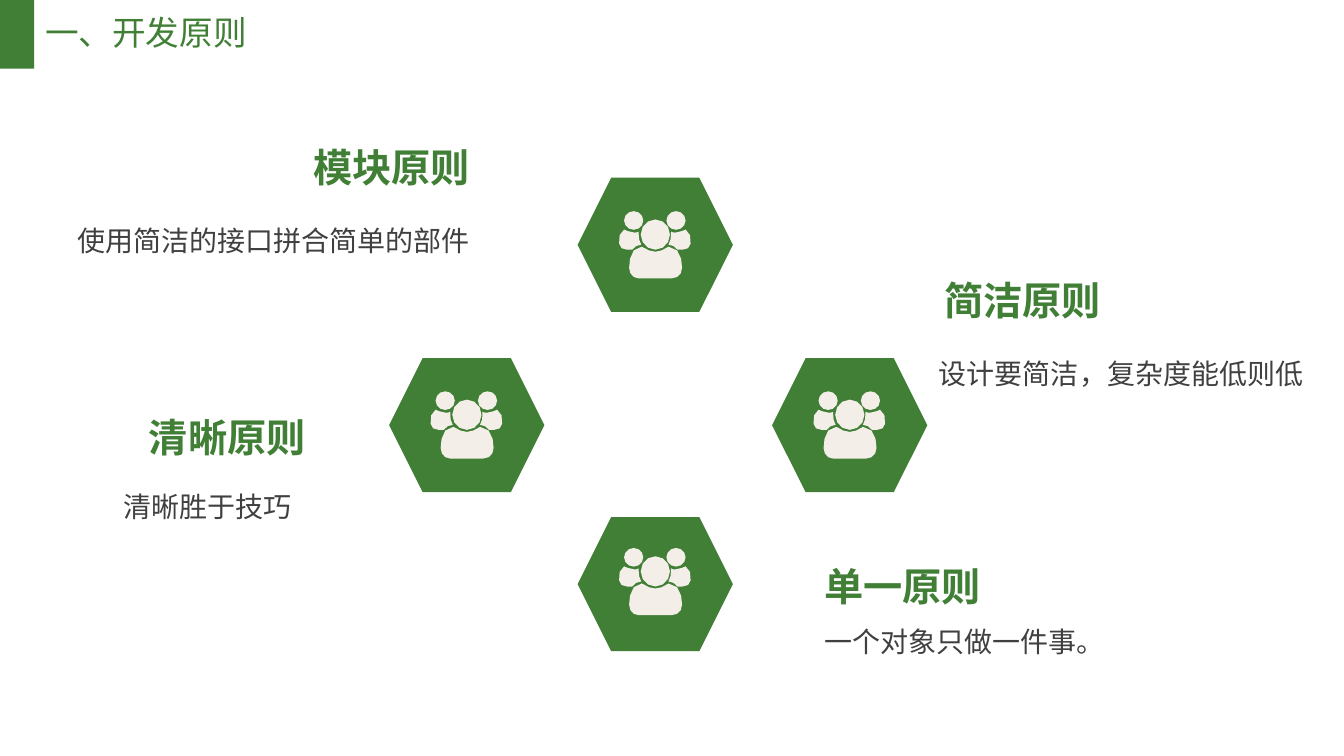
import math
from dataclasses import dataclass

from lxml import etree
from pptx import Presentation, util as u
from pptx.dml.color import RGBColor
from pptx.enum import shapes, text
from pptx.oxml.ns import qn

Pt = u.Pt


@dataclass(frozen=True)
class Theme:
    """Colours, font and type sizes of the slide."""
    green: str = "407F35"
    cream: str = "F3EFE8"
    grey: str = "404040"
    font: str = "Noto Sans CJK SC"
    title: int = 24
    head: int = 28
    body: int = 20


# People icon in hundredths of an inch: a start point, then Bezier triples.
UNIT = 0.72
WIDTH = 71
SIDE = [(13, 38), (8, 38), (8, 38), (8, 38), (4, 38), (0, 36), (0, 32),
        (0, 28), (0, 18), (5, 18), (6, 18), (10, 21), (15, 21),
        (17, 21), (18, 21), (19.5, 20), (19.5, 21), (19.5, 22), (19.5, 23),
        (19.5, 26), (20, 30), (22, 33), (18.5, 33), (15, 35), (13, 38)]
FRONT = [(52, 66.5), (19.5, 66.5), (19.5, 66.5), (19.5, 66.5),
         (14, 66.5), (10, 62), (10, 56), (10, 48), (12, 35), (22.5, 35),
         (24.5, 35), (28.5, 40), (36, 40), (43, 40), (48, 35), (49, 35),
         (60.5, 35), (62.5, 48), (62.5, 56), (62.5, 62), (58.5, 66.5), (52, 66.5)]


def curve(nodes, steps):
    """Sample a chain of cubic Bezier curves; straight parts get one step."""
    dots = [nodes[0]]
    for i in range(0, len(nodes) - 1, 3):
        a, b, c, d = nodes[i:i + 4]
        count = 1 if b == c == d else steps
        for k in range(1, count + 1):
            t = k / count
            s = 1 - t
            dots.append(tuple(s**3 * p + 3 * s * s * t * q + 3 * s * t * t * r + t**3 * v
                              for p, q, r, v in zip(a, b, c, d)))
    return dots


def oval(x, y, rx, ry, steps=12):
    """Sample an ellipse around its centre."""
    turns = [2 * math.pi * k / steps for k in range(steps)]
    return [(x + rx * math.cos(t), y + ry * math.sin(t)) for t in turns]


def mirror(dots):
    """Flip an outline across the middle of the icon."""
    return [(WIDTH - x, y) for x, y in dots]


def people():
    """Return the outlines of the three people."""
    left = [curve(SIDE, 2), oval(14.5, 9, 9.5, 9.25)]
    right = [mirror(dots) for dots in left]
    return left + right + [curve(FRONT, 3), oval(36, 23, 14.5, 15)]


class Deck:
    """Hold the style and the current slide."""

    def __init__(self, theme):
        """Start a wide deck with one blank slide."""
        self.theme = theme
        self.show = Presentation()
        self.show.slide_width, self.show.slide_height = Pt(960), Pt(540)
        self.slide = self.show.slides.add_slide(self.show.slide_layouts[6])

    def paint(self, shape, hue):
        """Give a shape a plain fill, no line and no shadow."""
        shape.shadow.inherit = False
        shape.fill.solid()
        shape.fill.fore_color.rgb = RGBColor.from_string(hue)
        shape.line.fill.background()

    def block(self, kind, x, y, w, h):
        """Add a green preset shape."""
        shape = self.slide.shapes.add_shape(kind, Pt(x), Pt(y), Pt(w), Pt(h))
        self.paint(shape, self.theme.green)

    def icon(self, x, y):
        """Draw the people icon as one outline shape."""
        pen = None
        for dots in people():
            first, *rest = [(Pt(x + a * UNIT), Pt(y + b * UNIT)) for a, b in dots]
            if pen is None:
                pen = self.slide.shapes.build_freeform(*first, scale=1.0)
            else:
                pen.move_to(*first)
            pen.add_line_segments(rest, close=True)
        self.paint(pen.convert_to_shape(), self.theme.cream)

    def label(self, words, x, y, w, h, size, hue, bold=False, right=False,
              space=None, wrap=True):
        """Add a text box holding one run."""
        box = self.slide.shapes.add_textbox(Pt(x), Pt(y), Pt(w), Pt(h))
        frame = box.text_frame
        frame.word_wrap = wrap
        frame.auto_size = text.MSO_AUTO_SIZE.SHAPE_TO_FIT_TEXT
        para = frame.paragraphs[0]
        para.alignment = text.PP_ALIGN.RIGHT if right else text.PP_ALIGN.LEFT
        if space:
            para.line_spacing = space
        run = para.add_run()
        run.text = words
        font = run.font
        font.size, font.bold, font.name = Pt(size), bold, self.theme.font
        font.color.rgb = RGBColor.from_string(hue)
        east = etree.SubElement(run._r.get_or_add_rPr(), qn("a:ea"))
        east.set("typeface", self.theme.font)

    def rule(self, head, spot, body, place, right):
        """Add the heading and the text of one principle."""
        look = self.theme
        self.label(head, *spot, 41, look.head, look.green, bold=True, right=right)
        self.label(body, *place, 38.9, look.body, look.grey, right=right, space=1.3)


# Left, top and icon drop of each hexagon
HEXES = [(551.5, 255.8, 23.9), (278, 255.8, 23.9),
         (412.6, 127, 24), (412.6, 369.4, 22.2)]

# Heading, its left, top and width; text, its left, top and width; right aligned
RULES = [
    ("模块原则", (205.2, 98.6, 137.5), "使用简洁的接口拼合简单的部件", (47.5, 149, 295.2), True),
    ("简洁原则", (662.4, 193.7, 131), "设计要简洁，复杂度能低则低", (662.4, 244.1, 275.8), True),
    ("清晰原则", (69.8, 291.6, 155.5), "清晰胜于技巧", (58.3, 339.1, 157), True),
    ("单一原则", (581.8, 398.2, 158.4), "一个对象只做一件事。", (581.8, 435.6, 240.5), False),
]


def main():
    """Build the slide and save it."""
    look = Theme()
    deck = Deck(look)
    deck.label("一、开发原则", 25.2, 5, 158.4, 36, look.title, look.green, wrap=False)
    deck.block(shapes.MSO_SHAPE.RECTANGLE, 0, 0, 24.4, 49)
    for x, y, drop in HEXES:
        deck.block(shapes.MSO_SHAPE.HEXAGON, x, y, 110.9, 95.8)
        deck.icon(x + 29.6, y + drop)
    for item in RULES:
        deck.rule(*item)
    deck.show.save("out.pptx")


main()
